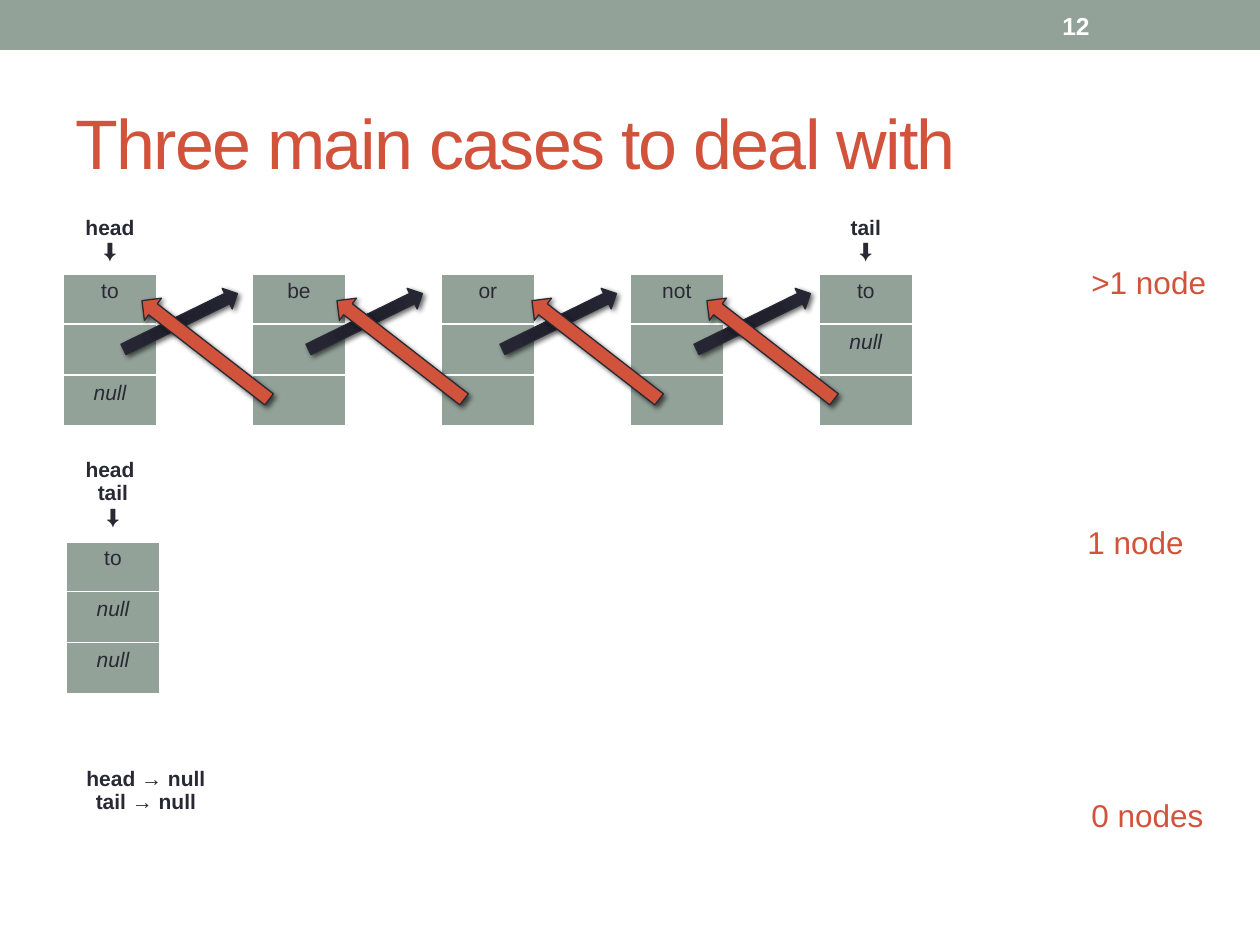
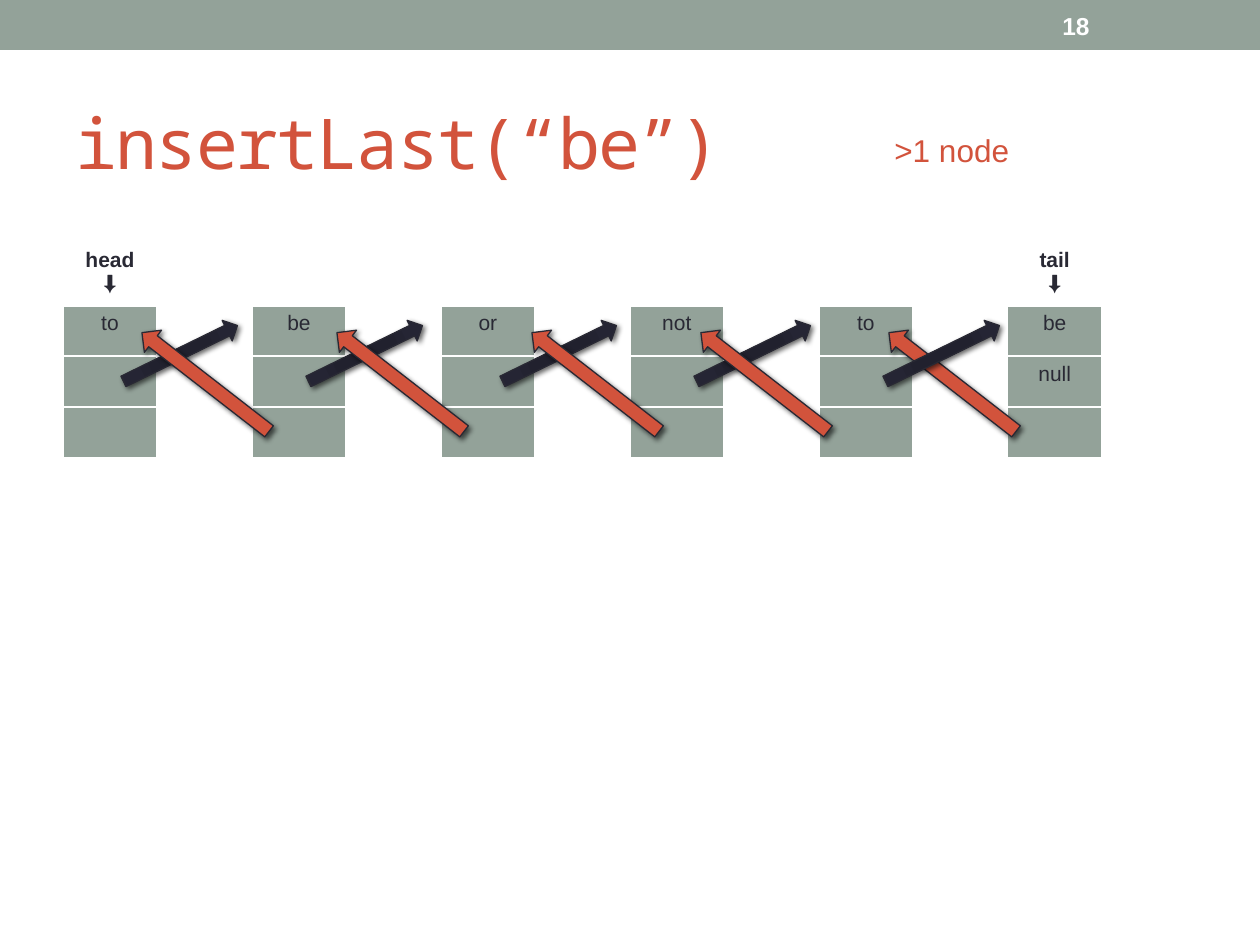
from lxml import etree
from pptx import Presentation
from pptx.dml.color import RGBColor
from pptx.enum.shapes import MSO_SHAPE
from pptx.enum.text import MSO_ANCHOR, MSO_AUTO_SIZE, PP_ALIGN
from pptx.oxml import parse_xml
from pptx.oxml.ns import nsdecls, qn
from pptx.util import Pt

RECTANGLE, RIGHT_ARROW = MSO_SHAPE.RECTANGLE, MSO_SHAPE.RIGHT_ARROW
MIDDLE, FIT_SHAPE = MSO_ANCHOR.MIDDLE, MSO_AUTO_SIZE.SHAPE_TO_FIT_TEXT
LEFT, CENTER = PP_ALIGN.LEFT, PP_ALIGN.CENTER

PX = 7257  # EMU in one px, 126 px to the inch
SAGE, RUST, INK, WHITE = "93A299", "D2533C", "292934", "FFFFFF"
SANS, MONO = "Arial", "Noto Sans Mono"
INK_STOPS = ((0, "21212F"), (34, "21212E"), (70, "252534"), (100, INK))
NODE_WIDTH, GAP_WIDTH, FIELD_HEIGHT = 94, 95, 51
COLUMNS = [NODE_WIDTH, GAP_WIDTH] * 6

# Block arrows: width, height, offset below the list's top, rotation
ARROWS = {"next": (127, 23, 100, 333.9), "previous": (161, 28, 126, 217.8)}
NEXT_LEFTS = (117, 302, 496, 690)
links = [("next", left) for left in NEXT_LEFTS]
earlier = [("previous", left) for left in (515, 320, 125)]

HEAD, TAIL = ["head", "⬇"], ["tail", "⬇"]

# Each list: left, top, column widths, row heights, nodes (pointers, fields)
LIST_ROWS = [60] + [FIELD_HEIGHT] * 3
slides = [
    {
        "title": "Three main cases to deal with", "font": SANS, "number": "12",
        "null_italic": True,
        "lists": [
            (63, 210, COLUMNS, LIST_ROWS, [
                (HEAD, ["to", "", "null"]), ([], ["be", "", ""]),
                ([], ["or", "", ""]), ([], ["not", "", ""]),
                (TAIL, ["to", "null", ""])]),
            (66, 452, COLUMNS, [83] + [FIELD_HEIGHT] * 3, [
                (["head ", "tail", "⬇"], ["to", "null", "null"])]),
            (66, 761, [160, 29] + COLUMNS[2:], [74, 42], [
                (["head → null", "tail → null"], [])]),
        ],
        "arrows": links + [("previous", 690)] + earlier,
        "cases": [(">1 node", 1079, 257), ("1 node", 1075, 517),
                  ("0 nodes", 1079, 790)],
    },
    {
        "title": "insertLast(“be”)", "font": MONO, "number": "18",
        "null_italic": False,
        "lists": [
            (63, 242, COLUMNS, LIST_ROWS, [
                (HEAD, ["to", "", ""]), ([], ["be", "", ""]),
                ([], ["or", "", ""]), ([], ["not", "", ""]),
                ([], ["to", "", ""]), (TAIL, ["be", "null", ""])]),
        ],
        "arrows": links + [("previous", 872)] + earlier
        + [("next", 879), ("previous", 684)],
        "cases": [(">1 node", 882, 125)],
    },
]


def rgb(color):
    return RGBColor.from_string(color)


def write(frame, lines, size, color, font=SANS, bold=False, italic=False, align=LEFT):
    for i, line in enumerate(lines):
        paragraph = frame.add_paragraph() if i else frame.paragraphs[0]
        paragraph.alignment = align
        run = paragraph.add_run()
        run.text = line
        run.font.name, run.font.size = font, Pt(size)
        run.font.bold, run.font.italic = bold, italic
        run.font.color.rgb = rgb(color)


prs = Presentation()
prs.slide_width, prs.slide_height = 1260 * PX, 945 * PX

for content in slides:
    slide = prs.slides.add_slide(prs.slide_layouts[6])
    shapes = slide.shapes

    # Top band
    band = shapes.add_shape(RECTANGLE, 0, 0, 1260 * PX, 50 * PX)
    band.shadow.inherit = False
    band.fill.solid()
    band.fill.fore_color.rgb = rgb(SAGE)
    band.line.fill.background()

    # Title and slide number
    title = shapes.add_textbox(63 * PX, 73 * PX, 1134 * PX, 136 * PX).text_frame
    title.word_wrap = True
    title.vertical_anchor = MIDDLE
    write(title, [content["title"]], 40, RUST, content["font"])
    title.paragraphs[0].runs[0].font._element.set("spc", "-100")

    number = shapes.add_textbox(1050 * PX, 3 * PX, 147 * PX, 45 * PX).text_frame
    number.word_wrap = True
    number.vertical_anchor = MIDDLE
    write(number, [content["number"]], 14, WHITE, bold=True)

    # Linked lists: pointer row on top, one column per node
    for left, top, widths, heights, nodes in content["lists"]:
        table = shapes.add_table(len(heights), len(widths), left * PX, top * PX,
                                 sum(widths) * PX, sum(heights) * PX).table
        table.first_row = table.horz_banding = False
        for column, width in zip(table.columns, widths):
            column.width = width * PX
        for row, height in zip(table.rows, heights):
            row.height = height * PX

        for r in range(len(heights)):
            for c in range(len(widths)):
                cell = table.cell(r, c)
                cell.fill.background()
                properties = cell._tc.get_or_add_tcPr()
                thick = {0: "B", 1: "T"}.get(r)
                for i, side in enumerate("LRTB"):
                    points = 3 if side == thick else 1
                    properties.insert(i, parse_xml(
                        f'<a:ln{side} {nsdecls("a")} w="{Pt(points)}"><a:solidFill>'
                        f'<a:srgbClr val="{WHITE}"/></a:solidFill></a:ln{side}>'))

        for n, (pointers, fields) in enumerate(nodes):
            write(table.cell(0, 2 * n).text_frame, pointers, 12, INK,
                  bold=True, align=CENTER)
            for r, field in enumerate(fields, 1):
                cell = table.cell(r, 2 * n)
                cell.fill.solid()
                cell.fill.fore_color.rgb = rgb(SAGE)
                if field:
                    write(cell.text_frame, [field], 12, INK, align=CENTER,
                          italic=field == "null" and content["null_italic"])

    # Links between the nodes of the first list
    list_top = content["lists"][0][1]
    for direction, left in content["arrows"]:
        width, height, offset, rotation = ARROWS[direction]
        arrow = shapes.add_shape(RIGHT_ARROW, left * PX, (list_top + offset) * PX,
                                 width * PX, height * PX)
        arrow.rotation = rotation
        arrow.line.color.rgb = rgb(INK)
        arrow.line.width = Pt(0.75)
        arrow.fill.solid()
        arrow.fill.fore_color.rgb = rgb(RUST)
        properties = arrow._element.spPr
        if direction == "next":
            stops = "".join(f'<a:gs pos="{pos * 1000}"><a:srgbClr val="{color}"/></a:gs>'
                            for pos, color in INK_STOPS)
            properties.replace(properties.find(qn("a:solidFill")), parse_xml(
                f'<a:gradFill {nsdecls("a")}><a:gsLst>{stops}</a:gsLst>'
                '<a:path path="circle"><a:fillToRect l="100000" t="100000" '
                'r="100000" b="100000"/></a:path></a:gradFill>'))
        arrow.shadow.inherit = False
        shadow = etree.SubElement(
            properties.find(qn("a:effectLst")), qn("a:outerShdw"),
            blurRad=str(Pt(3)), dist=str(Pt(2)), dir="2700000", rotWithShape="0")
        shade = etree.SubElement(shadow, qn("a:srgbClr"), val="000000")
        etree.SubElement(shade, qn("a:alpha"), val="60000")

    # Case labels
    for case, left, top in content["cases"]:
        label = shapes.add_textbox(left * PX, top * PX, 141 * PX, 50 * PX).text_frame
        label.word_wrap = False
        label.auto_size = FIT_SHAPE
        write(label, [case], 18, RUST)

prs.save("out.pptx")
